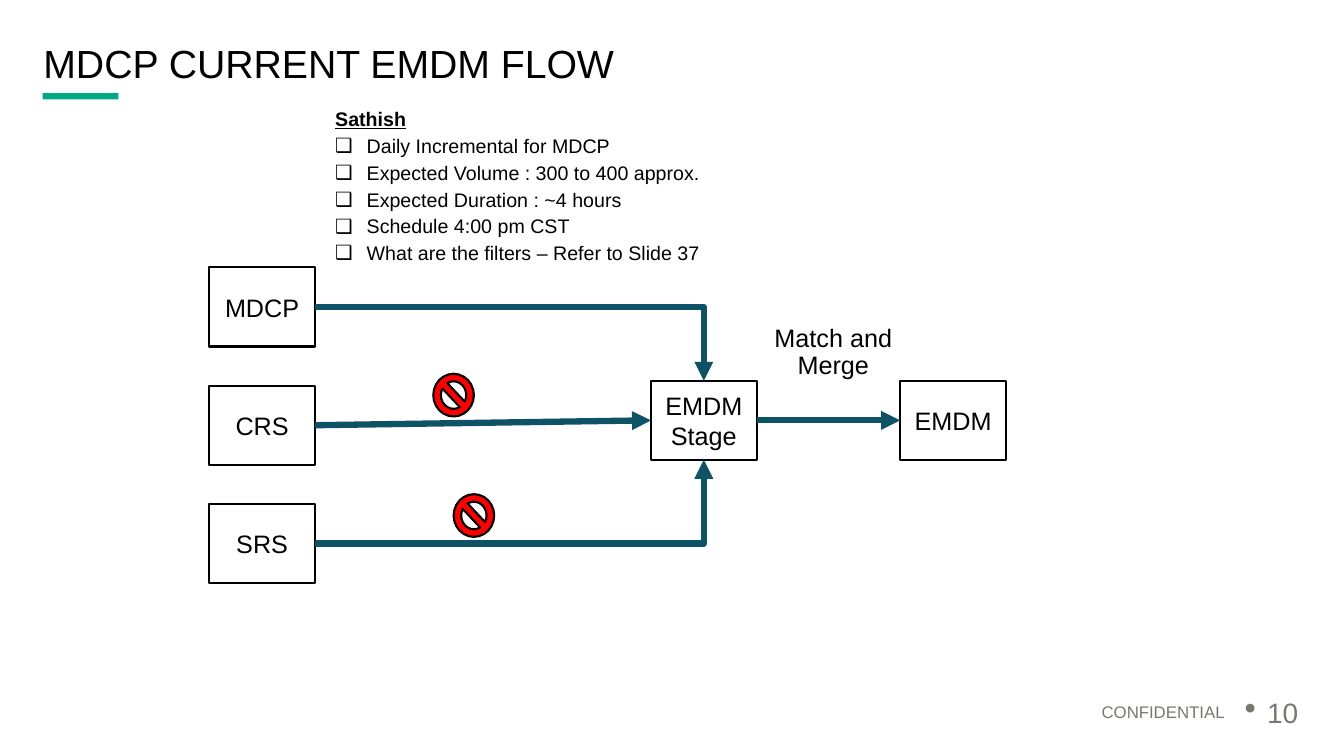
import pptx
import pptx.dml.color
import pptx.enum.shapes
import pptx.enum.text
import pptx.oxml
import pptx.oxml.ns
import pptx.util
from pptx.util import Pt

FONT = "Arial"
BLACK, GREEN, TEAL, RED, GREY = "000000", "01A982", "0D5265", "FF0000", "787871"
LEFT, CENTER, RIGHT = (pptx.enum.text.PP_ALIGN.LEFT, pptx.enum.text.PP_ALIGN.CENTER,
                       pptx.enum.text.PP_ALIGN.RIGHT)
TOP, MIDDLE = pptx.enum.text.MSO_ANCHOR.TOP, pptx.enum.text.MSO_ANCHOR.MIDDLE
SHAPES = pptx.enum.shapes.MSO_SHAPE
BOX_WIDTH, BOX_HEIGHT = 75.5, 56.5
SIDE_TOP, SIDE_LEFT, SIDE_BOTTOM, SIDE_RIGHT = range(4)

FILTER_NOTES = [
    "Daily Incremental for MDCP",
    "Expected Volume : 300 to 400 approx.",
    "Expected Duration : ~4 hours",
    "Schedule 4:00 pm CST",
    "What are the filters – Refer to Slide 37",
]


def rgb(color):
    return pptx.dml.color.RGBColor.from_string(color)


def add_xml(parent, tag, **attributes):
    child = pptx.oxml.parse_xml(f'<a:{tag} {pptx.oxml.ns.nsdecls("a")}/>')
    for key, value in attributes.items():
        child.set(key, str(value))
    parent.append(child)
    return child


def place(item, left, top, width, height):
    item.left, item.top, item.width, item.height = Pt(left), Pt(top), Pt(width), Pt(height)


def set_frame(frame, anchor, inset=None):
    frame.word_wrap = True
    frame.auto_size = pptx.enum.text.MSO_AUTO_SIZE.NONE
    frame.vertical_anchor = anchor
    if inset is not None:
        frame.margin_left = frame.margin_right = Pt(inset)
        frame.margin_top = frame.margin_bottom = Pt(inset)


def write(paragraph, words, size, color=BLACK, align=LEFT, spacing=0.9, before=0,
          heading=False):
    paragraph.alignment = align
    paragraph.line_spacing = spacing
    paragraph.space_before = Pt(before)
    run = paragraph.add_run()
    run.text = words
    run.font.name = FONT
    run.font.size = Pt(size)
    run.font.color.rgb = rgb(color)
    if heading:
        run.font.bold = run.font.underline = True


def set_bullet(paragraph, char=None, indent=0, percent=100):
    """Give a hanging bullet, or none when there is no character."""
    properties = paragraph._p.get_or_add_pPr()
    properties.set("marL", str(Pt(indent)))
    properties.set("indent", str(-Pt(indent)))
    if char:
        add_xml(properties, "buSzPct", val=percent * 1000)
        add_xml(properties, "buChar", char=char)
    else:
        add_xml(properties, "buNone")


def add_label(slide, words, area, size, color, align, anchor, inset=None, before=0):
    label = slide.shapes.add_textbox(*map(Pt, area))
    set_frame(label.text_frame, anchor, inset)
    paragraph = label.text_frame.paragraphs[0]
    write(paragraph, words, size, color, align, before=before)
    return paragraph


def add_figure(slide, kind, area, fill=None, line=None):
    figure = slide.shapes.add_shape(kind, *map(Pt, area))
    figure.shadow.inherit = False
    if fill:
        figure.fill.solid()
        figure.fill.fore_color.rgb = rgb(fill)
    else:
        figure.fill.background()
    if line:
        figure.line.color.rgb = rgb(line)
        figure.line.width = Pt(1.5)
    else:
        figure.line.fill.background()
    return figure


def add_system(slide, name, left, top):
    system = add_figure(slide, SHAPES.RECTANGLE, (left, top, BOX_WIDTH, BOX_HEIGHT), line=BLACK)
    set_frame(system.text_frame, MIDDLE)
    write(system.text_frame.paragraphs[0], name, 18, align=CENTER, spacing=1.0)
    return system


def add_flow(slide, source, target, side):
    """Arrow from the right of source to a side of target, with one bend if needed."""
    flow = slide.shapes.add_connector(pptx.enum.shapes.MSO_CONNECTOR.STRAIGHT, 0, 0, 0, 0)
    flow.begin_connect(source, SIDE_RIGHT)
    flow.end_connect(target, side)
    properties = flow._element.spPr
    if side != SIDE_LEFT:
        properties.find(pptx.oxml.ns.qn("a:prstGeom")).set("prst", "bentConnector2")
    flow.line.color.rgb = rgb(TEAL)
    flow.line.width = Pt(4.5)
    add_xml(flow.line._get_or_add_ln(), "tailEnd", type="triangle")
    add_xml(properties, "effectLst")


def add_title(slide, words):
    title = slide.shapes.title
    place(title, 31, 30, 899, 34)
    set_frame(title.text_frame, MIDDLE, inset=0)
    write(title.text_frame.paragraphs[0], words, 28)
    add_figure(slide, SHAPES.RECTANGLE, (30.5, 66.5, 54, 4.5), fill=GREEN)


def add_notes_list(slide, owner, notes):
    body = slide.placeholders[1]
    place(body, 225, 64, 430.5, 160)
    frame = body.text_frame
    set_frame(frame, TOP, inset=14.4)
    heading = frame.paragraphs[0]
    write(heading, owner, 14, before=4, heading=True)
    set_bullet(heading)
    for note in notes:
        item = frame.add_paragraph()
        write(item, note, 14, before=4)
        set_bullet(item, "❑", 22.5)


def main():
    deck = pptx.Presentation()
    deck.slide_width, deck.slide_height = Pt(960), Pt(540)
    slide = deck.slides.add_slide(deck.slide_layouts[1])

    # Title and list
    add_title(slide, "MDCP CURRENT EMDM FLOW")
    add_notes_list(slide, "Sathish", FILTER_NOTES)

    # Systems
    sources = [add_system(slide, name, 149.5, 191 + 84.5 * row)
               for row, name in enumerate(["MDCP", "CRS", "SRS"])]
    stage = add_system(slide, "EMDM Stage", 465, 272)
    emdm = add_system(slide, "EMDM", 643, 272)

    # Flows
    for source, side in zip(sources, [SIDE_TOP, SIDE_LEFT, SIDE_BOTTOM]):
        add_flow(slide, source, stage, side)
    add_flow(slide, stage, emdm, SIDE_LEFT)
    add_label(slide, "Match and Merge", (535.5, 217.5, 119.5, 68.5), 18, BLACK,
              CENTER, MIDDLE, inset=14.4, before=4)

    # Stop signs on the blocked flows
    for left, top in [(309.5, 267), (324, 353)]:
        add_figure(slide, SHAPES.NO_SYMBOL, (left, top, 29, 30.5), fill=RED, line=BLACK)

    # Footer
    add_label(slide, "CONFIDENTIAL", (558, 499, 324, 17.5), 12, GREY, RIGHT, TOP)
    page = add_label(slide, "10", (882, 496, 54, 29), 20, GREY, LEFT, MIDDLE)
    set_bullet(page, "•", 16, 120)

    deck.save("out.pptx")


if __name__ == "__main__":
    main()
